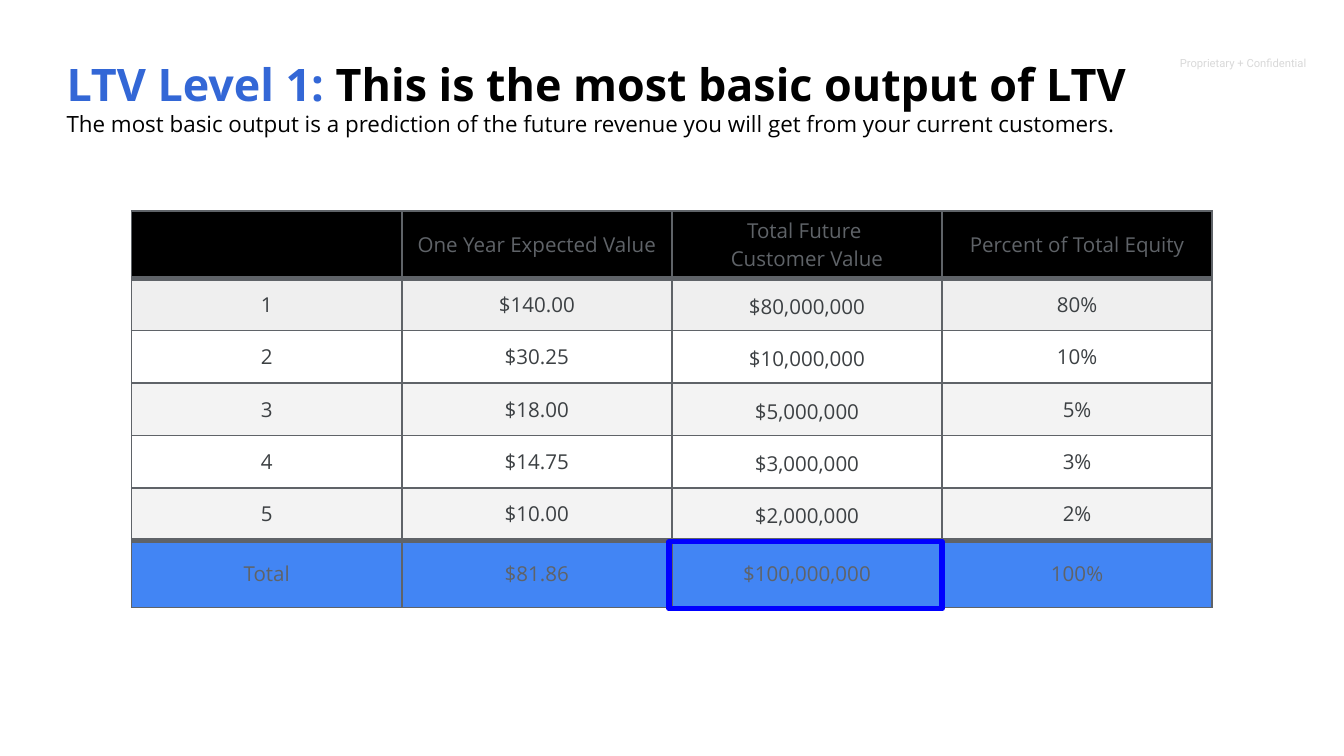
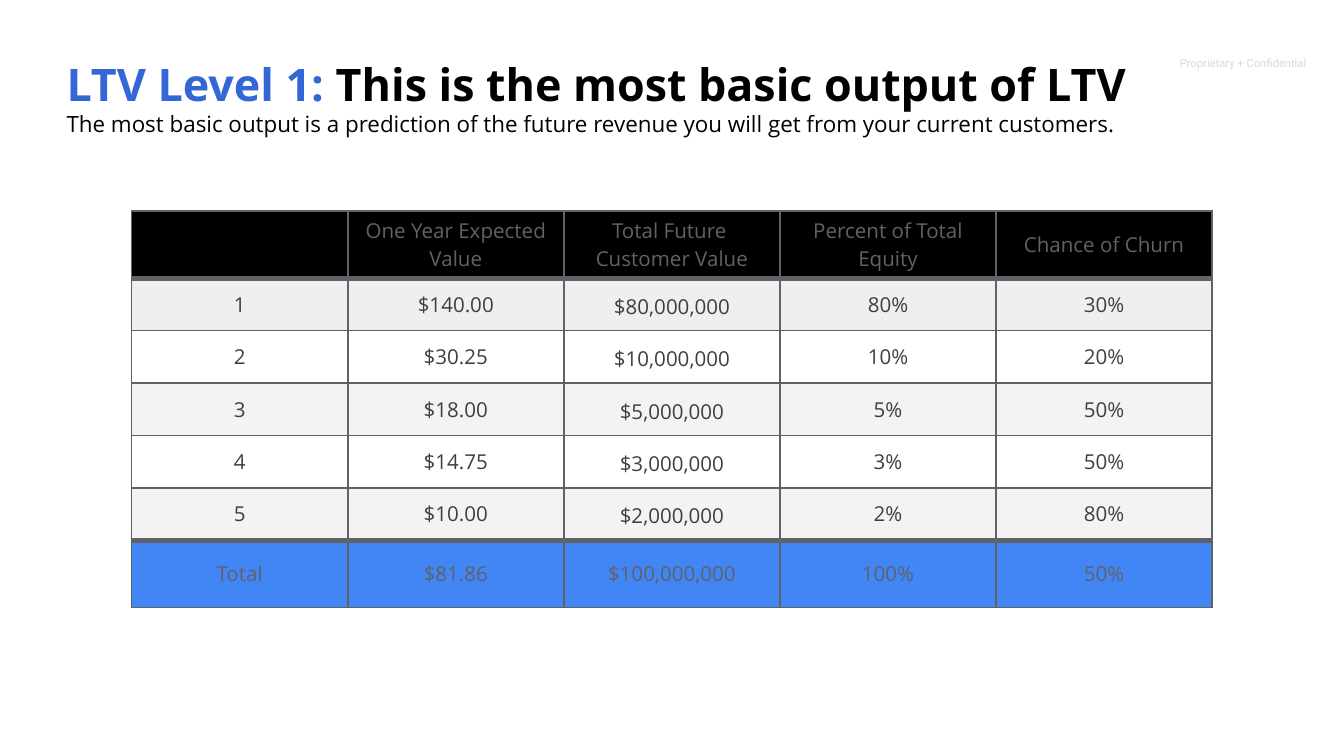
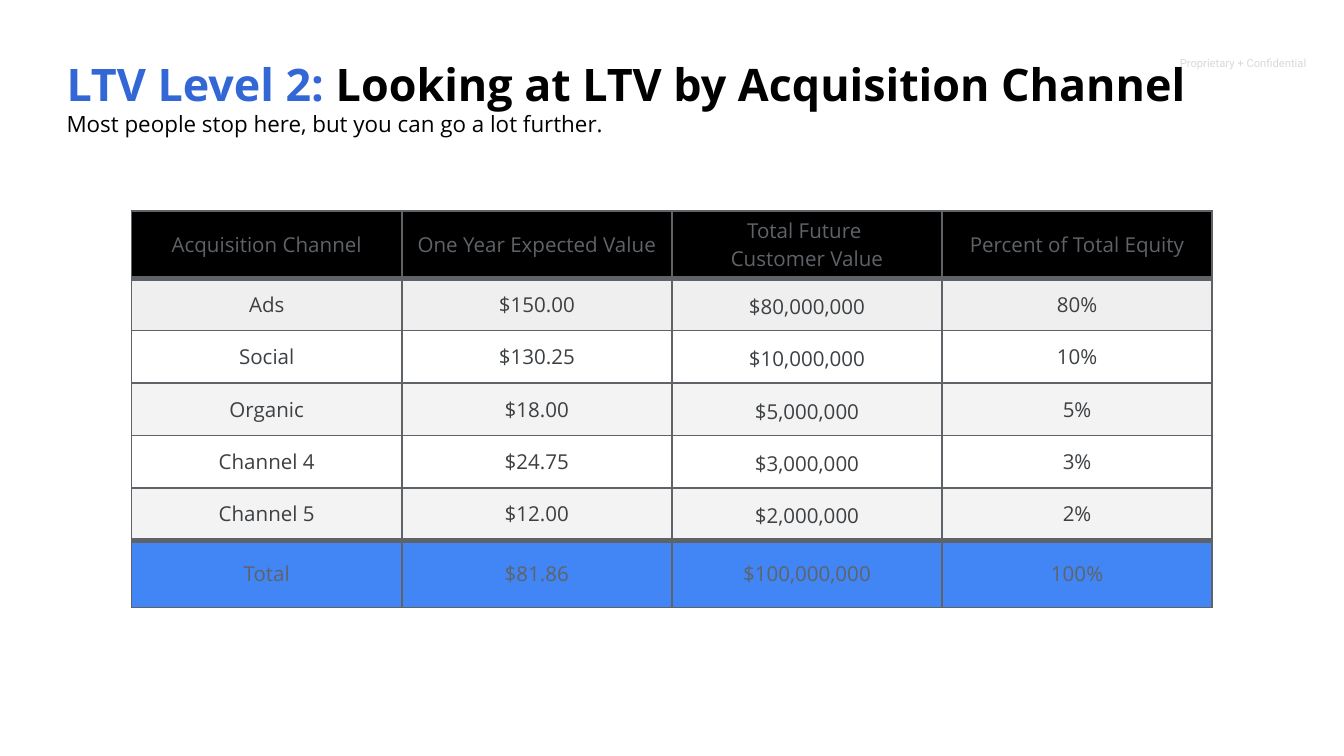
from lxml.etree import SubElement
from pptx import Presentation
from pptx.dml.color import RGBColor
from pptx.enum.shapes import MSO_SHAPE
from pptx.enum.text import MSO_ANCHOR, MSO_AUTO_SIZE, PP_ALIGN as ALIGN
from pptx.oxml.ns import qn
from pptx.util import Emu, Pt

SCALE = 4572  # EMU in one px, 200 px to the inch
WIDTH, HEIGHT = 2000, 1125

BLACK = RGBColor(0x00, 0x00, 0x00)
WHITE = RGBColor(0xFF, 0xFF, 0xFF)
TITLE_BLUE = RGBColor(0x33, 0x67, 0xD6)
TOTAL_BLUE = RGBColor(0x42, 0x85, 0xF4)
FRAME_BLUE = RGBColor(0x00, 0x00, 0xFF)
GREY = RGBColor(0x5F, 0x63, 0x68)
DARK_GREY = RGBColor(0x3C, 0x40, 0x43)
NOTICE_GREY = RGBColor(0xD9, 0xD9, 0xD9)
FIRST_BAND = RGBColor(0xEF, 0xEF, 0xEF)
BAND = RGBColor(0xF3, 0xF3, 0xF3)

FONT, NOTICE_FONT = "Open Sans", "Roboto"
TABLE_LEFT, TABLE_TOP, TABLE_WIDTH = 196, 314, 1608
TALL_ROW, ROW = 100, 78
VALUE_COLUMN = 2


def px(length):
    return Emu(length * SCALE)


def add_text(paragraph, text, size=11, color=BLACK, bold=False, font=FONT,
             align=ALIGN.LEFT, spacing=None):
    paragraph.alignment = align
    if spacing:
        paragraph.line_spacing = spacing
    run = paragraph.add_run()
    run.text = text
    run.font.name = font
    run.font.size = Pt(size)
    run.font.bold = bold
    run.font.color.rgb = color


def set_margins(frame, x, y):
    frame.margin_left = frame.margin_right = px(x)
    frame.margin_top = frame.margin_bottom = px(y)


def set_borders(cell, **widths):
    properties = cell._tc.get_or_add_tcPr()
    for side in ("L", "R", "T", "B"):
        line = SubElement(properties, qn(f"a:ln{side}"), w=str(Pt(widths.get(side, 1))))
        fill = SubElement(line, qn("a:solidFill"))
        SubElement(fill, qn("a:srgbClr"), val=str(GREY))


class Deck:
    def __init__(self):
        self.presentation = Presentation()
        self.presentation.slide_width = px(WIDTH)
        self.presentation.slide_height = px(HEIGHT)
        self.slide = None

    def add_slide(self, level, heading, subtitle):
        layout = self.presentation.slide_layouts[5]
        self.slide = self.presentation.slides.add_slide(layout)
        self.add_notice()
        self.add_title(level, heading, subtitle)

    def add_notice(self):
        box = self.slide.shapes.add_textbox(px(1736), px(48), px(264), px(66))
        frame = box.text_frame
        frame.word_wrap = True
        frame.vertical_anchor = MSO_ANCHOR.BOTTOM
        set_margins(frame, 20, 20)
        add_text(frame.paragraphs[0], "Proprietary + Confidential",
                 size=6, color=NOTICE_GREY, font=NOTICE_FONT)

    def add_title(self, level, heading, subtitle):
        title = self.slide.shapes.title
        title.left, title.top, title.width, title.height = map(px, (92, 80, 1818, 90))
        frame = title.text_frame
        frame.word_wrap = True
        frame.auto_size = MSO_AUTO_SIZE.NONE
        frame.vertical_anchor = MSO_ANCHOR.TOP
        set_margins(frame, 7, 4)
        first = frame.paragraphs[0]
        add_text(first, level, size=24, color=TITLE_BLUE, bold=True)
        add_text(first, " " + heading, size=24, bold=True)
        add_text(frame.add_paragraph(), subtitle, size=12)

    def add_cell(self, cell, text, fill, color, margin=4, spacing=None, **borders):
        set_borders(cell, **borders)
        cell.fill.solid()
        cell.fill.fore_color.rgb = fill
        cell.vertical_anchor = MSO_ANCHOR.MIDDLE
        set_margins(cell, margin, margin)
        frame = cell.text_frame
        for index, line in enumerate(text.split("\n") if text else []):
            paragraph = frame.add_paragraph() if index else frame.paragraphs[0]
            add_text(paragraph, line, color=color, align=ALIGN.CENTER, spacing=spacing)

    def add_table(self, rows):
        last, columns = len(rows) - 1, len(rows[0])
        heights = [TALL_ROW] + [ROW] * (last - 1) + [TALL_ROW]
        table = self.slide.shapes.add_table(
            len(rows), columns, px(TABLE_LEFT), px(TABLE_TOP),
            px(TABLE_WIDTH), px(sum(heights))).table
        table.first_row = table.horz_banding = False
        for column in table.columns:
            column.width = px(TABLE_WIDTH) // columns
        for r, values in enumerate(rows):
            table.rows[r].height = px(heights[r])
            for c, text in enumerate(values):
                cell = table.cell(r, c)
                if r == 0:
                    self.add_cell(cell, text, BLACK, GREY, B=3)
                elif r == last:
                    self.add_cell(cell, text, TOTAL_BLUE, GREY, T=3)
                else:
                    fill = FIRST_BAND if r == 1 else BAND if r % 2 else WHITE
                    style = {"margin": 2, "spacing": 1.15} if c == VALUE_COLUMN else {}
                    # Heavy rules under the header and above the total
                    self.add_cell(cell, text, fill, DARK_GREY, T=3 if r == 1 else 1,
                                  B=3 if r == last - 1 else 1, **style)

    def add_frame(self, left, top, width, height):
        frame = self.slide.shapes.add_shape(
            MSO_SHAPE.RECTANGLE, px(left), px(top), px(width), px(height))
        frame.shadow.inherit = False
        frame.fill.background()
        frame.line.color.rgb = FRAME_BLUE
        frame.line.width = Pt(3)


# Table contents
HEADINGS = ["One Year Expected Value", "Total Future \nCustomer Value",
            "Percent of Total Equity"]
FUTURE_VALUES = ["$80,000,000", "$10,000,000", "$5,000,000", "$3,000,000",
                 "$2,000,000", "$100,000,000"]
SHARES = ["80%", "10%", "5%", "3%", "2%", "100%"]
CHURN = ["30%", "20%", "50%", "50%", "80%", "50%"]
BASIC_VALUES = ["$140.00", "$30.25", "$18.00", "$14.75", "$10.00", "$81.86"]
CHANNEL_VALUES = ["$150.00", "$130.25", "$18.00", "$24.75", "$12.00", "$81.86"]
GROUPS = ["1", "2", "3", "4", "5", "Total"]
CHANNELS = ["Ads", "Social", "Organic", "Channel 4", "Channel 5", "Total"]
BASIC_TITLE = (
    "LTV Level 1:", "This is the most basic output of LTV",
    "The most basic output is a prediction of the future revenue "
    "you will get from your current customers.")


def build_rows(corner, names, values):
    return [[corner, *HEADINGS], *zip(names, values, FUTURE_VALUES, SHARES)]


def main():
    deck = Deck()
    basic_rows = build_rows("", GROUPS, BASIC_VALUES)

    # Basic output, with the total future value framed
    deck.add_slide(*BASIC_TITLE)
    deck.add_table(basic_rows)
    deck.add_frame(996, 806, 406, 100)

    # Basic output with churn
    deck.add_slide(*BASIC_TITLE)
    churn_column = ["Chance of Churn", *CHURN]
    deck.add_table([[*row, churn] for row, churn in zip(basic_rows, churn_column)])

    # Value by acquisition channel
    deck.add_slide("LTV Level 2:", "Looking at LTV by Acquisition Channel",
                   "Most people stop here, but you can go a lot further.")
    deck.add_table(build_rows("Acquisition Channel", CHANNELS, CHANNEL_VALUES))

    deck.presentation.save("out.pptx")


if __name__ == "__main__":
    main()
